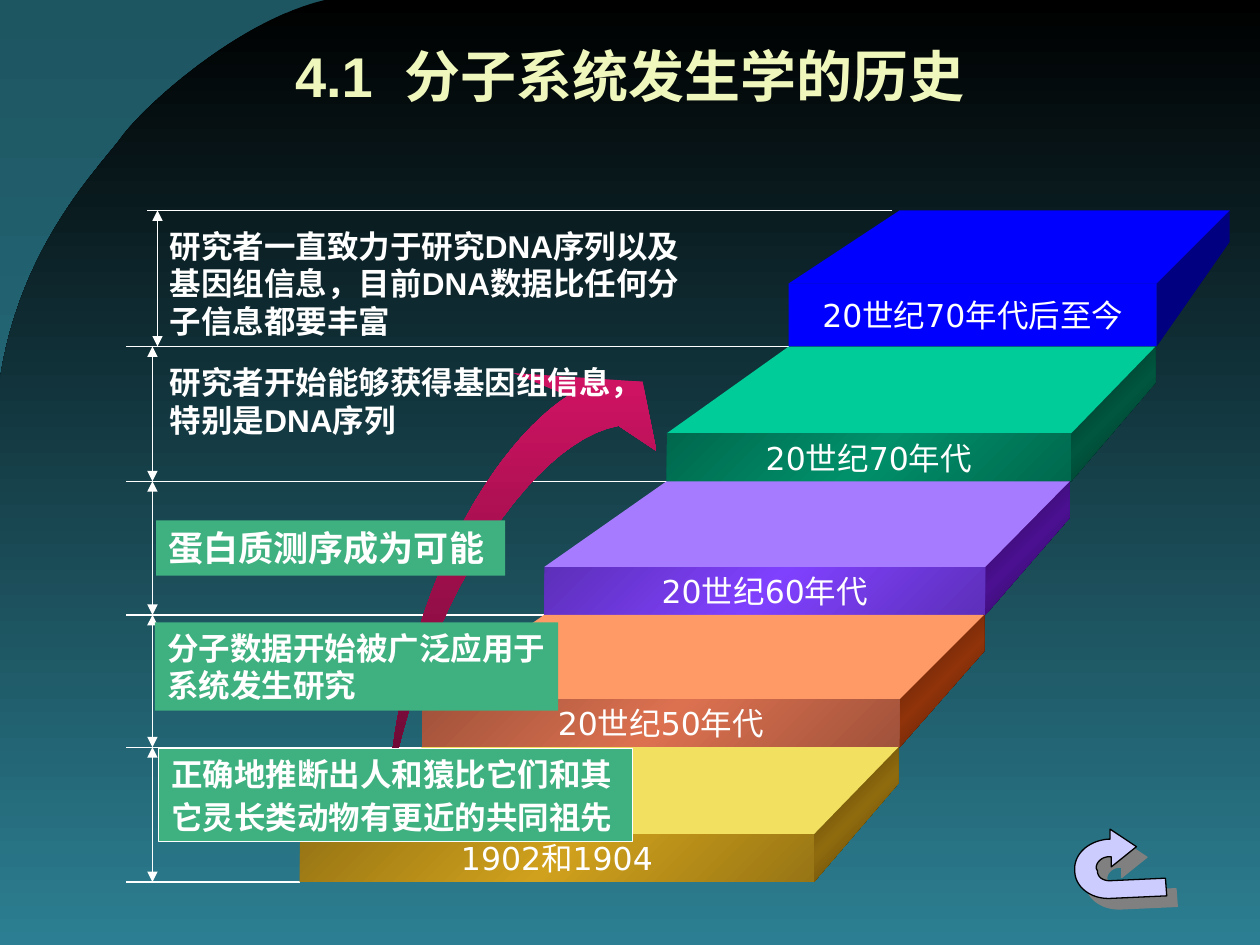
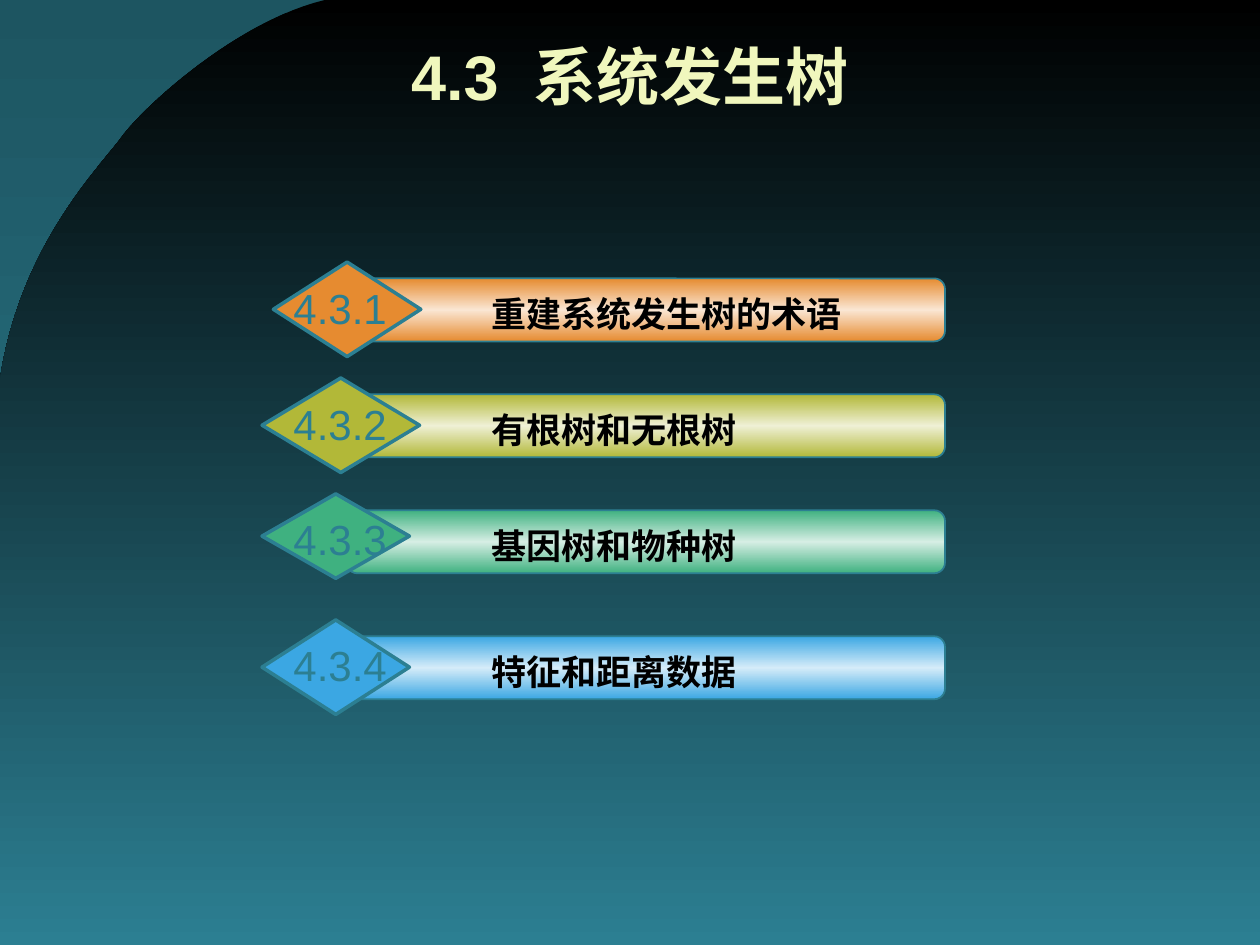
from copy import deepcopy

from lxml import etree
from pptx import Presentation
from pptx import util as u
from pptx.dml.color import RGBColor
from pptx.enum import shapes, text
from pptx.oxml.ns import qn

COLOURS = {
    "title": "F0F7BD", "white": "FFFFFF", "black": "000000", "teal": "2C7F92",
    "dark_teal": "1D5561", "label": "3FB180", "return": "CCCCFF", "grey": "808080",
    "crimson": "D11364", "maroon": "61092E",
}
BACKDROP = [COLOURS["dark_teal"], COLOURS["teal"]]
ARC_FILL = [COLOURS["black"], COLOURS["teal"]]

# Outlines: a pair is a straight step, six numbers are a cubic curve.
ARC = [(2.58, 0), (1.9, 0.16, 1.16, 0.83, 0.98, 1.07),
       (0.8, 1.32, 0.16, 1.94, 0, 3.01), (0, 7.5), (10, 7.5), (10, 0)]
RISING_ARROW = [(3.07, 6.41), (3.18, 4.65, 3.95, 3.5, 4.51, 3.14), (4.07, 2.96),
                (5.1, 3.03), (5.21, 3.58), (4.91, 3.38),
                (4.2, 3.5, 3.3, 4.9, 3.07, 6.41)]
RETURN_ARROW = [(9.02, 6.72), (8.81, 6.58), (8.81, 6.66), (8.8, 6.66),
                (8.64, 6.67, 8.52, 6.78, 8.53, 6.91),
                (8.53, 7.04, 8.66, 7.14, 8.82, 7.13), (9.26, 7.11), (9.25, 6.97),
                (8.81, 6.99), (8.75, 6.99, 8.71, 6.96, 8.71, 6.91), (8.7, 6.89),
                (8.7, 6.84, 8.75, 6.8, 8.8, 6.8), (8.82, 6.8), (8.82, 6.88)]

LEVELS = [1.67, 2.75, 3.82, 4.88, 5.93, 7.0]
STEPS = [
    {"text": "20世纪70年代后至今", "top": ["0000FF"], "front": ["0000FF"],
     "side": ["000080"], "height": 0.5, "depth": 0.58},
    {"text": "20世纪70年代", "top": ["00CC99"], "front": ["00684D", "00906A", "00684D"],
     "side": ["00281D", "00563F", "00281D"], "height": 0.38, "depth": 0.67},
    {"text": "20世纪60年代", "top": ["A77BFF"], "front": ["5D2FB9", "8041FF", "5D2FB9"],
     "side": ["230744", "4B1092", "230744"], "height": 0.38, "depth": 0.67},
    {"text": "20世纪50年代", "top": ["FF9966"], "front": ["A0523A", "DC7150", "A0523A"],
     "side": ["431805", "90330A", "431805"], "height": 0.38, "depth": 0.67},
    {"text": "1902和1904", "top": ["F2E160"], "front": ["977514", "D0A11C", "977514"],
     "side": ["433206", "906B0E", "433206"], "height": 0.38, "depth": 0.67},
]
LABELS = [
    {"lines": ["研究者一直致力于研究DNA序列以及基因组信息，目前DNA数据比任何分子信息都要丰富"],
     "at": (1.25, 1.75, 4.25, 1), "size": 18},
    {"lines": ["研究者开始能够获得基因组信息，", "特别是DNA序列"],
     "at": (1.25, 2.83, 3.95, 0.7), "size": 18},
    {"lines": ["蛋白质测序成为可能"], "at": (1.24, 4.13, 2.77, 0.44), "size": 20,
     "fill": [COLOURS["label"]]},
    {"lines": ["分子数据开始被广泛应用于", "系统发生研究"],
     "at": (1.23, 4.94, 3.2, 0.7), "size": 18, "fill": [COLOURS["label"]]},
    {"lines": ["正确地推断出人和猿比它们和其", "它灵长类动物有更近的共同祖先"],
     "at": (1.26, 5.94, 3.76, 0.74), "size": 18, "fill": [COLOURS["label"]],
     "border": (COLOURS["white"], 0.75), "gap": 3},
]
TOPICS = [
    ("4.3.1", "重建系统发生树的术语", "E68B30", "FAE6D3", 2.21, (2.17, 1.17, 0.75)),
    ("4.3.2", "有根树和无根树", "B2B838", "EFF0D5", 3.13, (2.08, 1.25, 0.75)),
    ("4.3.3", "基因树和物种树", "3FB180", "D6EEE4", 4.05, (2.08, 1.17, 0.67)),
    ("4.3.4", "特征和距离数据", "3BA7E3", "D5ECF9", 5.05, (2.08, 1.17, 0.75)),
]


def inches(values):
    return [u.Inches(value) for value in values]


def paint(fill, element, colours, angle=90):
    if len(colours) == 1:
        fill.solid()
        fill.fore_color.rgb = RGBColor.from_string(colours[0])
        return
    fill.gradient()
    fill.gradient_angle = 360 - angle
    stop_list = element.find(".//" + qn("a:gsLst"))
    while len(stop_list) < len(colours):
        stop_list.append(deepcopy(stop_list[-1]))
    for index, stop in enumerate(fill.gradient_stops):
        stop.color.rgb = RGBColor.from_string(colours[index])
        stop.position = index / (len(colours) - 1)


def style(shape, colours, angle=90, border=None):
    shape.shadow.inherit = False
    paint(shape.fill, shape.element, colours, angle)
    if border:
        shape.line.color.rgb = RGBColor.from_string(border[0])
        shape.line.width = u.Pt(border[1])
    else:
        shape.line.fill.background()
    return shape


def cast_shadow(effects, colour, distance):
    shadow = etree.SubElement(effects, qn("a:outerShdw"), blurRad="0",
                              dist=str(u.Pt(distance)), dir="2700000", algn="ctr")
    etree.SubElement(shadow, qn("a:srgbClr"), val=colour)


def add_preset(slide, kind, at, colours, angle=90, border=None):
    shape = slide.shapes.add_shape(kind, *inches(at))
    return style(shape, colours, angle, border)


def add_outline(slide, outline, colours, angle=90, border=None):
    points = [outline[0]]
    for part in outline[1:]:
        if len(part) == 2:
            points.append(part)
            continue
        controls = [points[-1], part[:2], part[2:4], part[4:]]
        for step in range(1, 25):
            t = step / 24
            weights = ((1 - t) ** 3, 3 * t * (1 - t) ** 2, 3 * t * t * (1 - t), t ** 3)
            points.append(tuple(sum(w * c[axis] for w, c in zip(weights, controls))
                                for axis in (0, 1)))
    start, *others = [inches(point) for point in points]
    builder = slide.shapes.build_freeform(*start, scale=1.0)
    builder.add_line_segments(others, close=True)
    return style(builder.convert_to_shape(), colours, angle, border)


def add_line(slide, start, end, arrows=False):
    line = slide.shapes.add_connector(shapes.MSO_CONNECTOR.STRAIGHT,
                                      *inches(start + end))
    line.line.color.rgb = RGBColor.from_string(COLOURS["white"])
    line.line.width = u.Pt(0.75)
    properties = line.element.spPr
    if arrows:
        for tag in ("a:headEnd", "a:tailEnd"):
            etree.SubElement(properties.find(qn("a:ln")), qn(tag), type="triangle")
    etree.SubElement(properties, qn("a:effectLst"))


def add_run(paragraph, words, size, colour, bold=False, font="Arial"):
    run = paragraph.add_run()
    run.text = words
    run.font.size = u.Pt(size)
    run.font.bold = bold
    run.font.name = font
    run.font.color.rgb = RGBColor.from_string(colour)
    return run


def prepare_frame(shape, wrap=True, middle=False):
    frame = shape.text_frame
    frame.word_wrap = wrap
    frame.vertical_anchor = text.MSO_ANCHOR.MIDDLE if middle else text.MSO_ANCHOR.TOP
    return frame


def add_words(shape, lines, size, colour, bold=False, font="Arial", centred=False,
              wrap=True, middle=False, gap=0):
    frame = prepare_frame(shape, wrap, middle)
    for index, words in enumerate(lines):
        paragraph = frame.add_paragraph() if index else frame.paragraphs[0]
        paragraph.alignment = text.PP_ALIGN.CENTER if centred else text.PP_ALIGN.LEFT
        if index and gap:
            paragraph.space_before = u.Pt(gap)
        add_run(paragraph, words, size, colour, bold, font)
    return frame


def add_text(slide, at, lines, size, colour, **options):
    return add_words(slide.shapes.add_textbox(*inches(at)), lines, size, colour, **options)


def start_slide(presentation, number, title, size):
    slide = presentation.slides.add_slide(presentation.slide_layouts[6])
    paint(slide.background.fill, slide.element, BACKDROP)
    add_outline(slide, ARC, ARC_FILL)
    box = slide.shapes.add_textbox(*inches((0.5, 0.25, 9, 0.7)))
    paragraph = prepare_frame(box, middle=True).paragraphs[0]
    paragraph.alignment = text.PP_ALIGN.CENTER
    for words in (number, " ", title):
        run = add_run(paragraph, words, size, COLOURS["title"], bold=True)
        properties = run.font.fill and run._r.get_or_add_rPr()
        if words == " ":
            properties.set("spc", str(size * 28))
        effects = etree.Element(qn("a:effectLst"))
        cast_shadow(effects, COLOURS["black"], 2)
        properties.insert(1, effects)
    return slide


def add_step(slide, step, left, right, top, bottom):
    front = bottom - step["height"]
    back = right + step["depth"]
    drop = step["depth"] * 0.43
    add_outline(slide, [(back, top), (back, top + drop), (right, bottom),
                        (right, front)], step["side"], 45)
    add_outline(slide, [(right, front), (left, front),
                        (left + step["depth"] + 0.3, top), (back, top)], step["top"])
    face = add_preset(slide, shapes.MSO_SHAPE.RECTANGLE,
                      (left, front, right - left, step["height"]), step["front"], 45)
    add_words(face, [step["text"]], 18, COLOURS["white"], font="DejaVu Sans",
              centred=True, wrap=False, middle=True)


def build_history(presentation):
    slide = start_slide(presentation, "4.1", "分子系统发生学的历史", 32)
    arrow = add_outline(slide, RETURN_ARROW, [COLOURS["return"]],
                        border=(COLOURS["black"], 0.75))
    cast_shadow(arrow.element.spPr.find(qn("a:effectLst")), COLOURS["grey"], 8.5)

    lefts = [2.38 + 0.97 * (4 - index) for index in range(len(STEPS))]
    add_line(slide, (7.08, LEVELS[0]), (1.17, LEVELS[0]))
    for left, level in zip(lefts, LEVELS[1:]):
        add_line(slide, (left, level), (1, level))
    for index, (top, bottom) in enumerate(zip(LEVELS, LEVELS[1:])):
        x = 1.21 if index else 1.25
        add_line(slide, (x, top), (x, bottom), arrows=True)
    add_outline(slide, RISING_ARROW, [COLOURS["crimson"], COLOURS["maroon"]])
    for index, (step, left) in enumerate(zip(STEPS, lefts)):
        add_step(slide, step, left, 6.46 + 0.68 * (4 - index),
                 LEVELS[index], LEVELS[index + 1])
    for label in LABELS:
        if "fill" in label:
            box = add_preset(slide, shapes.MSO_SHAPE.RECTANGLE, label["at"],
                             label["fill"], border=label.get("border"))
        else:
            box = slide.shapes.add_textbox(*inches(label["at"]))
        frame = add_words(box, label["lines"], label["size"], COLOURS["white"],
                          bold=True, gap=label.get("gap", 0))
        frame.margin_right = u.Inches(0.02)


def build_topics(presentation):
    slide = start_slide(presentation, "4.3", "系统发生树", 36)
    for number, topic, colour, glow, top, (left, width, height) in TOPICS:
        bar = add_preset(slide, shapes.MSO_SHAPE.ROUNDED_RECTANGLE,
                         (2.75, top, 4.75, 0.5), [colour, glow, colour],
                         border=(COLOURS["teal"], 1))
        bar.adjustments[0] = 0.17
        add_preset(slide, shapes.MSO_SHAPE.DIAMOND, (left, top - 0.13, width, height),
                   [colour], border=(COLOURS["teal"], 2))
        add_text(slide, (3.8, top + 0.06, 3.5, 0.44), [topic], 20, COLOURS["black"],
                 bold=True)
        add_text(slide, (2.23, top - 0.02, 0.94, 0.5), [number], 24, COLOURS["teal"],
                 centred=True, wrap=False)


def main():
    presentation = Presentation()
    presentation.slide_width, presentation.slide_height = inches((10, 7.5))
    build_history(presentation)
    build_topics(presentation)
    presentation.save("out.pptx")


if __name__ == "__main__":
    main()
